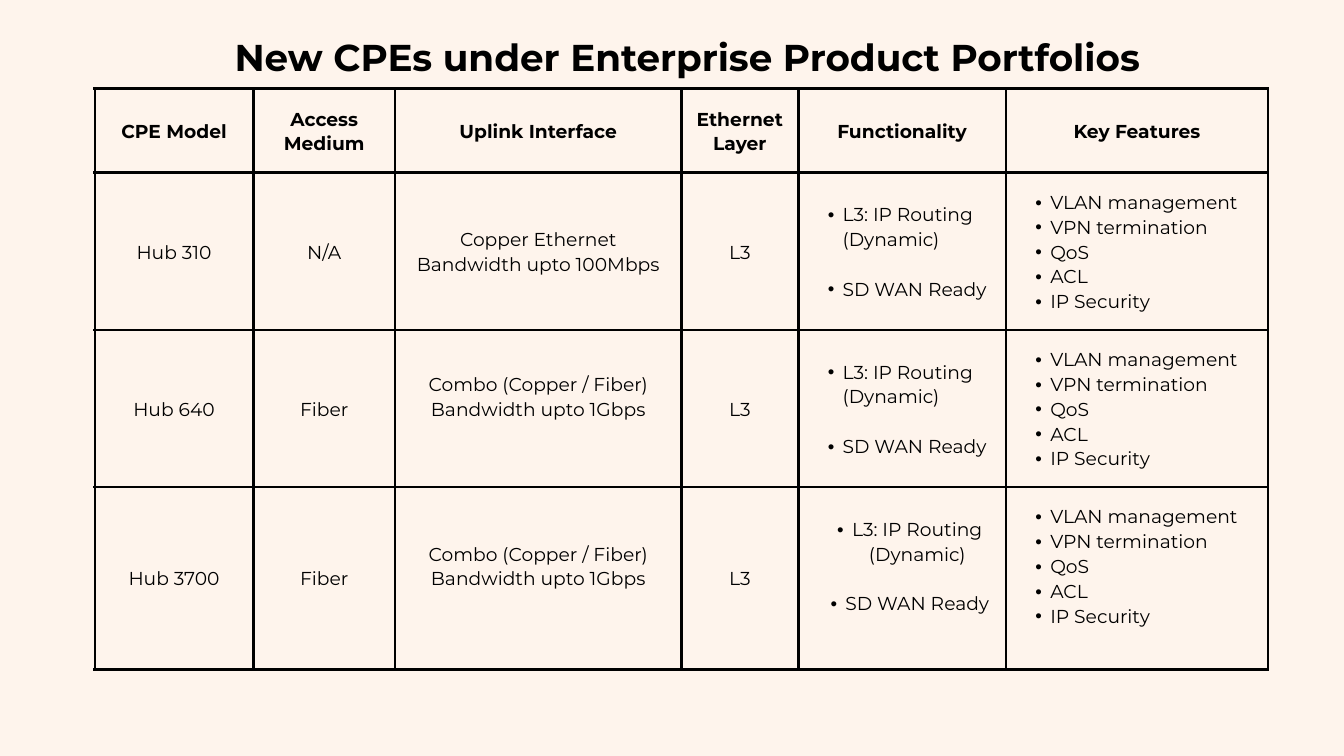
"""Build the slide that compares the new CPE models in one table."""
from lxml.etree import SubElement
from pptx import Presentation
from pptx.dml.color import RGBColor
from pptx.enum.text import MSO_ANCHOR as Anchor, MSO_AUTO_SIZE as AutoSize, PP_ALIGN as Align
from pptx.oxml import parse_xml
from pptx.oxml.ns import nsdecls, qn
from pptx.util import Inches, Pt

INK, PAPER = "000000", "FEF4EC"
PADDING = Inches(0.21)
LINE = Pt(26.6)


def color(hex_code):
    return RGBColor.from_string(hex_code)


def style(paragraph, size, bold, align, spacing):
    paragraph.alignment = align
    paragraph.line_spacing = spacing
    font = paragraph.font
    font.name, font.size, font.bold = "Montserrat", Pt(size), bold
    font.color.rgb = color(INK)


deck = Presentation()
deck.slide_width, deck.slide_height = Inches(20), Inches(11.25)
slide = deck.slides.add_slide(deck.slide_layouts[5])
slide.background.fill.solid()
slide.background.fill.fore_color.rgb = color(PAPER)

title = slide.shapes.title
title.left, title.top = Inches(3.49), Inches(0.39)
title.width, title.height = Inches(13.65), Inches(0.73)
heading = title.text_frame
heading.text = "New CPEs under Enterprise Product Portfolios"
heading.margin_left = heading.margin_right = heading.margin_top = heading.margin_bottom = 0
heading.vertical_anchor = Anchor.TOP
heading.auto_size = AutoSize.NONE
heading.word_wrap = True
style(heading.paragraphs[0], 40, True, Align.LEFT, Pt(56))

functions = ["L3: IP Routing (Dynamic)", "SD WAN Ready"]
features = ["VLAN management", "VPN termination", "QoS", "ACL", "IP Security"]
combo = ["Combo (Copper / Fiber)", "Bandwidth upto 1Gbps"]
copper = ["Copper Ethernet", "Bandwidth upto 100Mbps"]
headers = ["CPE Model", "Access Medium", "Uplink Interface", "Ethernet Layer",
           "Functionality", "Key Features"]
content = [
    [[header] for header in headers],
    [["Hub 310"], ["N/A"], copper, ["L3"], functions, features],
    [["Hub 640"], ["Fiber"], combo, ["L3"], functions, features],
    [["Hub 3700"], ["Fiber"], combo, ["L3"], functions, features],
]
raised_cells = {(2, 2), (3, 2), (3, 4), (3, 5)}
column_widths = [2.36, 2.11, 4.26, 1.74, 3.09, 3.9]
row_heights = [1.25, 2.34, 2.34, 2.71]

portfolio = slide.shapes.add_table(
    len(row_heights), len(column_widths), Inches(1.41), Inches(1.32),
    Inches(sum(column_widths)), Inches(sum(row_heights))).table
portfolio.horz_banding = False
for column, width in zip(portfolio.columns, column_widths):
    column.width = Inches(width)
for row, height in zip(portfolio.rows, row_heights):
    row.height = Inches(height)

for r, row_content in enumerate(content):
    for c, lines in enumerate(row_content):
        cell = portfolio.cell(r, c)
        cell.vertical_anchor = Anchor.MIDDLE
        cell.margin_left = cell.margin_right = cell.margin_top = PADDING
        cell.margin_bottom = PADDING + (LINE if (r, c) in raised_cells else 0)
        cell.fill.background()
        for position, side in enumerate(("lnL", "lnR", "lnT", "lnB")):
            cell._tc.tcPr.insert(position, parse_xml(
                f'<a:{side} {nsdecls("a")} w="{Pt(3)}"><a:solidFill>'
                f'<a:srgbClr val="{INK}"/></a:solidFill></a:{side}>'))

        bulleted = r > 0 and c >= 4
        left_aligned = bulleted and (r, c) != (3, 4)
        cell.text = "\n".join(lines)
        for index, paragraph in enumerate(cell.text_frame.paragraphs):
            if bulleted:
                paragraph.level = 1
                properties = paragraph._p.get_or_add_pPr()
                properties.set("marL", str(Inches(0.45)))
                properties.set("indent", str(Inches(-0.22)))
                SubElement(properties, qn("a:buFont"), typeface="Arial")
                SubElement(properties, qn("a:buChar"), char="•")
            if lines is functions and index:
                paragraph.space_before = LINE
            style(paragraph, 20, r == 0, Align.LEFT if left_aligned else Align.CENTER, LINE)

deck.save("out.pptx")
